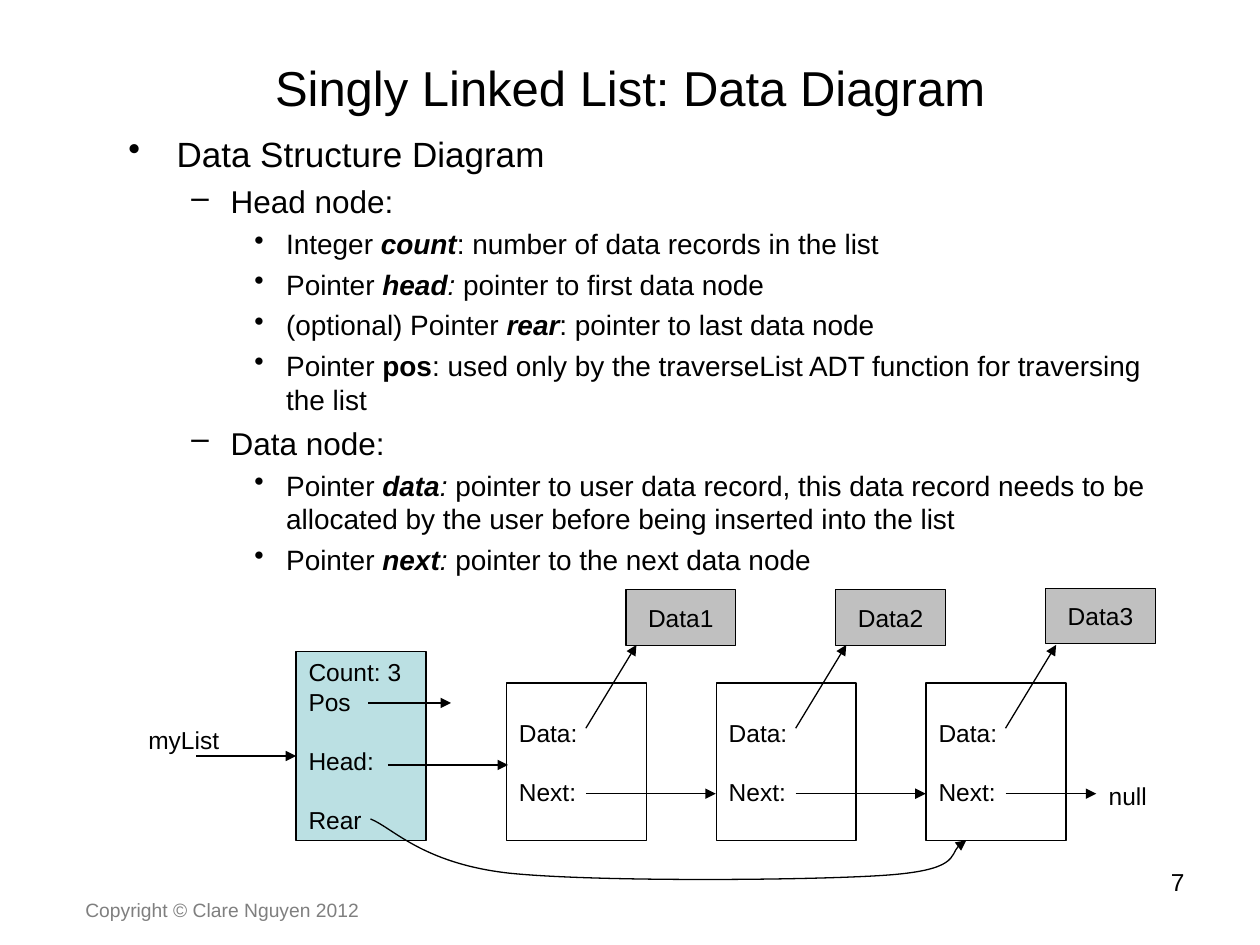
"""Build the slide that explains the data diagram of a singly linked list."""
from lxml.etree import SubElement
from pptx import Presentation
from pptx.dml.color import RGBColor
from pptx.enum.shapes import MSO_CONNECTOR, MSO_SHAPE
from pptx.enum.text import MSO_ANCHOR, PP_ALIGN
from pptx.oxml.ns import qn
from pptx.util import Cm, Pt

BLACK = RGBColor(0x00, 0x00, 0x00)
GRAY = RGBColor(0x7F, 0x7F, 0x7F)
SILVER = RGBColor(0xC0, 0xC0, 0xC0)
TEAL = RGBColor(0xBB, 0xE0, 0xE3)

prs = Presentation()
prs.slide_width, prs.slide_height = Cm(25.4), Cm(19.05)
s = prs.slides.add_slide(prs.slide_layouts[6])


def add_text(sp, lines, size=14, color=BLACK, align=PP_ALIGN.LEFT, anchor=MSO_ANCHOR.TOP):
    tf = sp.text_frame
    for name, value in {"word_wrap": True, "vertical_anchor": anchor}.items():
        setattr(tf, name, value)
    for i, (text, gap) in enumerate(lines):
        p = tf.paragraphs[0] if i == 0 else tf.add_paragraph()
        for name, value in {"alignment": align, "space_before": Pt(gap)}.items():
            setattr(p, name, value)
        r = p.add_run()
        r.text = text
        for name, value in {"name": "Arial", "size": Pt(size)}.items():
            setattr(r.font, name, value)
        r.font.color.rgb = color


def style_line(sp, width=0.75, arrow=True):
    sp.line.color.rgb = BLACK
    sp.line.width = Pt(width)
    if arrow:
        SubElement(sp.line._get_or_add_ln(), qn("a:tailEnd"), type="triangle")
        SubElement(sp._element.spPr, qn("a:effectLst"))


LABELS = [
    ("7", (18.21, 17.35, 5.92, 1.32), {"align": PP_ALIGN.RIGHT}),
    ("Singly Linked List: Data Diagram", (1.27, 0.76, 22.86, 1.98),
     {"size": 28, "align": PP_ALIGN.CENTER, "anchor": MSO_ANCHOR.MIDDLE}),
    ("null", (22.1, 15.62, 1.63, 0.86), {}),
    ("myList", (2.74, 14.5, 2.82, 0.86), {}),
    ("Copyright © Clare Nguyen 2012", (1.47, 17.98, 8.05, 0.48), {"size": 11, "color": GRAY}),
]
for text, place, fmt in LABELS:
    add_text(s.shapes.add_textbox(*map(Cm, place)), [(text, 0)], **fmt)

LEVELS = [
    {"size": 20, "gap": 5, "left": 0.97, "hang": 0.97, "char": "•"},
    {"size": 18, "gap": 4.5, "left": 2.06, "hang": 0.79, "char": "–"},
    {"size": 16, "gap": 4, "left": 3.18, "hang": 0.64, "char": "•"},
]
BULLETS = [
    (0, [("Data Structure Diagram", "")]),
    (1, [("Head node:", "")]),
    (2, [("Integer ", ""), ("count", "bi"), (": number of data records in the list", "")]),
    (2, [("Pointer ", ""), ("head", "bi"), (":", "i"), (" pointer to first data node", "")]),
    (2, [("(optional) Pointer ", ""), ("rear", "bi"), (": pointer to last data node", "")]),
    (2, [("Pointer ", ""), ("pos", "b"),
         (": used only by the traverseList ADT function for traversing the list", "")]),
    (1, [("Data node:", "")]),
    (2, [("Pointer ", ""), ("data", "bi"), (": ", "i"),
         ("pointer to user data record, this data record needs to be allocated "
          "by the user before being inserted into the list", "")]),
    (2, [("Pointer ", ""), ("next", "bi"), (": ", "i"), ("pointer to the next data node", "")]),
]
tf = s.shapes.add_textbox(Cm(2.34), Cm(2.54), Cm(21.16), Cm(14.4)).text_frame
tf.word_wrap = True
for i, (level, runs) in enumerate(BULLETS):
    lv = LEVELS[level]
    p = tf.paragraphs[0] if i == 0 else tf.add_paragraph()
    pPr = p._p.get_or_add_pPr()
    pPr.set("marL", str(Cm(lv["left"])))
    pPr.set("indent", str(-Cm(lv["hang"])))
    SubElement(pPr, qn("a:buChar"), char=lv["char"])
    for name, value in {"level": level, "space_before": Pt(lv["gap"] if i else 0)}.items():
        setattr(p, name, value)
    for text, style in runs:
        r = p.add_run()
        r.text = text
        fmt = {"name": "Arial", "size": Pt(lv["size"]), "bold": "b" in style, "italic": "i" in style}
        for name, value in fmt.items():
            setattr(r.font, name, value)
        r.font.color.rgb = BLACK

GAP = 17
PITCH = 4.23
boxes = [((5.97, 13.13, 2.62, 3.81), TEAL, PP_ALIGN.LEFT,
          [("Count: 3", 0), ("Pos", 0), ("Head:", GAP), ("Rear", GAP)])]
arrows = [(3.96, 15.24, 5.97, 15.24, 1.5), (7.82, 15.42, 10.24, 15.42, 0.75),
          (7.42, 14.17, 9.09, 14.17, 0.75)]
for i in range(3):
    dx = i * PITCH
    boxes += [((10.21 + dx, 13.77, 2.82, 3.18), None, PP_ALIGN.LEFT, [("Data:", 0), ("Next:", GAP)]),
              ((12.62 + dx, 11.86 if i == 2 else 11.89, 2.21, 1.12), SILVER, PP_ALIGN.CENTER,
               [(f"Data{i + 1}", 0)])]
    arrows += [(11.81 + dx, 14.68, 12.83 + dx, 13, 0.75),
               (11.81 + dx, 16, 22.1 if i == 2 else 14.43 + dx, 16, 0.75)]

for place, fill, align, lines in boxes:
    sp = s.shapes.add_shape(MSO_SHAPE.RECTANGLE, *map(Cm, place))
    sp.shadow.inherit = False
    if fill is None:
        sp.fill.background()
    else:
        sp.fill.solid()
        sp.fill.fore_color.rgb = fill
    style_line(sp, arrow=False)
    add_text(sp, lines, align=align, anchor=MSO_ANCHOR.MIDDLE)

for *ends, width in arrows:
    style_line(s.shapes.add_connector(MSO_CONNECTOR.STRAIGHT, *map(Cm, ends)), width)

REAR = [(7.47, 16.51), (7.92, 16.69), (8.51, 17.4), (10.24, 17.6), (11.94, 17.78),
        (16.23, 17.75), (17.78, 17.65), (19.33, 17.55), (19.13, 17.09), (19.48, 16.94)]
points = [(Cm(x), Cm(y)) for x, y in REAR]
fb = s.shapes.build_freeform(*points[0])
fb.add_line_segments(points[1:], close=False)
sp = fb.convert_to_shape()
sp.fill.background()
style_line(sp)
path = sp._element.find(".//" + qn("a:path"))
segments = path.findall(qn("a:lnTo"))
for i in range(0, len(segments), 3):
    curve = SubElement(path, qn("a:cubicBezTo"))
    for segment in segments[i:i + 3]:
        curve.append(segment[0])
        path.remove(segment)

prs.save("out.pptx")
